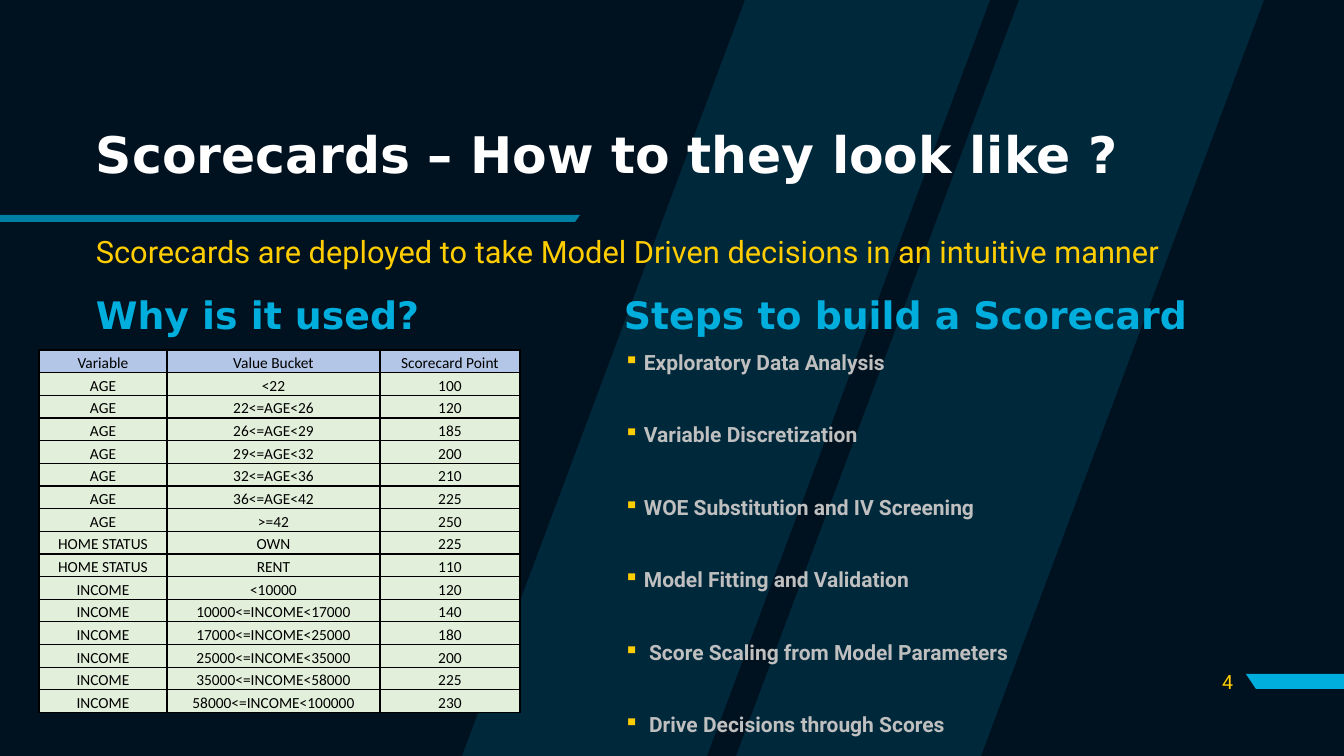
"""Build the slide that shows a scorecard table and the steps to build one."""
from lxml import etree
from pptx import Presentation
from pptx.dml.color import RGBColor
from pptx.enum.text import MSO_ANCHOR, PP_ALIGN
from pptx.oxml.ns import qn
from pptx.util import Pt

LEFT, CENTER, RIGHT = PP_ALIGN.LEFT, PP_ALIGN.CENTER, PP_ALIGN.RIGHT
TOP, MIDDLE, BOTTOM = MSO_ANCHOR.TOP, MSO_ANCHOR.MIDDLE, MSO_ANCHOR.BOTTOM

SCALE = 914400 / 100.8
SLIDE_WIDTH, SLIDE_HEIGHT = 1344, 756
NAVY, CYAN, YELLOW = "00111F", "00AEDE", "FFCD00"
WHITE, BLACK, GREY = "FFFFFF", "000000", "BFBFBF"
HEADER_FILL, BODY_FILL = "B4C6E7", "E2EFDA"
HEADING_FONT, BODY_FONT, TABLE_FONT = "DejaVu Sans", "Roboto", "Calibri"

DECORATIONS = [
    ([(1019, 0), (736, 756), (981, 756), (1264, 0)], 15),
    ([(745, 0), (462, 756), (707, 756), (990, 0)], 15),
    ([(1344, 674), (1344, 689), (1256, 689), (1246, 674)], 100),
    ([(0, 215), (0, 222), (575, 222), (580, 215)], 70),
]

HEADING = dict(size=27, font=HEADING_FONT, color=CYAN, bold=True)
TEXTS = [
    ("Scorecards – How to they look like ?", (86, 114, 1098, 86),
     dict(size=36, font=HEADING_FONT, color=WHITE, bold=True, anchor=MIDDLE)),
    ("Scorecards are deployed to take Model Driven decisions in an intuitive manner",
     (86, 232, 1127, 86), dict(size=22, color=YELLOW)),
    ("Why is it used?", (86, 292, 481, 50), HEADING),
    ("Steps to build a Scorecard", (614, 292, 593, 50), HEADING),
    ("4", (1182, 661, 61, 41),
     dict(size=14, color=YELLOW, align=RIGHT, anchor=MIDDLE, line_spacing=1)),
]

STEPS = [
    "Exploratory Data Analysis",
    "Variable Discretization",
    "WOE Substitution and IV Screening",
    "Model Fitting and Validation",
    " Score Scaling from Model Parameters",
    " Drive Decisions through Scores",
]
STEPS_BOX = (614, 342, 481, 257)
STEP_INDENT = 20
STEP_GAP = 32

SCORECARD_HEADER = ("Variable", "Value Bucket", "Scorecard Point")
SCORECARD = {
    "AGE": [("<22", 100), ("22<=AGE<26", 120), ("26<=AGE<29", 185), ("29<=AGE<32", 200),
            ("32<=AGE<36", 210), ("36<=AGE<42", 225), (">=42", 250)],
    "HOME STATUS": [("OWN", 225), ("RENT", 110)],
    "INCOME": [("<10000", 120), ("10000<=INCOME<17000", 140), ("17000<=INCOME<25000", 180),
               ("25000<=INCOME<35000", 200), ("35000<=INCOME<58000", 225),
               ("58000<=INCOME<100000", 230)],
}
TABLE_LEFT, TABLE_TOP, TABLE_HEIGHT = 39, 350, 363
COLUMN_WIDTHS = (128, 213, 140)


def px(length):
    return round(length * SCALE)


def rgb(color):
    return RGBColor.from_string(color)


def write_text(frame, text, size, color, font=BODY_FONT, bold=False, align=LEFT,
               anchor=TOP, line_spacing=0.9, space_before=0, bullet=None):
    frame.word_wrap = True
    frame.vertical_anchor = anchor
    for index, line in enumerate(text.split("\n")):
        paragraph = frame.paragraphs[0] if index == 0 else frame.add_paragraph()
        paragraph.alignment = align
        paragraph.line_spacing = line_spacing
        paragraph.space_before = Pt(space_before if index else 0)
        run = paragraph.add_run()
        run.text = line
        run.font.size = Pt(size)
        run.font.name = font
        run.font.bold = bold
        run.font.color.rgb = rgb(color)
        if bullet:
            add_bullet(paragraph, *bullet)


def add_bullet(paragraph, character, color):
    properties = paragraph._p.get_or_add_pPr()
    properties.set("marL", str(px(STEP_INDENT)))
    properties.set("indent", str(-px(STEP_INDENT)))
    bullet_color = etree.SubElement(properties, qn("a:buClr"))
    etree.SubElement(bullet_color, qn("a:srgbClr"), val=color)
    etree.SubElement(properties, qn("a:buChar"), char=character)


def add_text_box(slide, text, box, **text_format):
    shape = slide.shapes.add_textbox(*map(px, box))
    write_text(shape.text_frame, text, **text_format)


def add_decoration(slide, points, opacity):
    builder = slide.shapes.build_freeform(*points[0], scale=SCALE)
    builder.add_line_segments(points[1:], close=True)
    shape = builder.convert_to_shape()
    shape.shadow.inherit = False
    shape.line.fill.background()
    shape.fill.solid()
    shape.fill.fore_color.rgb = rgb(CYAN)
    if opacity < 100:
        fill_color = shape._element.spPr.find(qn("a:solidFill")).find(qn("a:srgbClr"))
        etree.SubElement(fill_color, qn("a:alpha"), val=str(opacity * 1000))


def add_borders(cell):
    properties = cell._tc.get_or_add_tcPr()
    for side in ("a:lnL", "a:lnR", "a:lnT", "a:lnB"):
        line = etree.SubElement(properties, qn(side), w=str(Pt(1)))
        fill = etree.SubElement(line, qn("a:solidFill"))
        etree.SubElement(fill, qn("a:srgbClr"), val=BLACK)


def add_scorecard(slide):
    rows = [SCORECARD_HEADER] + [(variable, bucket, str(points))
                                 for variable, buckets in SCORECARD.items()
                                 for bucket, points in buckets]
    box = (TABLE_LEFT, TABLE_TOP, sum(COLUMN_WIDTHS), TABLE_HEIGHT)
    table = slide.shapes.add_table(len(rows), len(COLUMN_WIDTHS), *map(px, box)).table
    table.first_row = table.horz_banding = False
    for column, width in zip(table.columns, COLUMN_WIDTHS):
        column.width = px(width)
    for row_index, values in enumerate(rows):
        table.rows[row_index].height = px(TABLE_HEIGHT / len(rows))
        for column_index, value in enumerate(values):
            cell = table.cell(row_index, column_index)
            cell.margin_left = cell.margin_right = cell.margin_top = px(1)
            cell.margin_bottom = 0
            add_borders(cell)
            cell.fill.solid()
            cell.fill.fore_color.rgb = rgb(BODY_FILL if row_index else HEADER_FILL)
            write_text(cell.text_frame, value, size=11, color=BLACK, font=TABLE_FONT,
                       align=CENTER, line_spacing=1)
            cell.vertical_anchor = BOTTOM


def main():
    presentation = Presentation()
    presentation.slide_width = px(SLIDE_WIDTH)
    presentation.slide_height = px(SLIDE_HEIGHT)
    slide = presentation.slides.add_slide(presentation.slide_layouts[6])
    slide.background.fill.solid()
    slide.background.fill.fore_color.rgb = rgb(NAVY)
    for points, opacity in DECORATIONS:
        add_decoration(slide, points, opacity)
    for text, box, text_format in TEXTS:
        add_text_box(slide, text, box, **text_format)
    add_scorecard(slide)
    add_text_box(slide, "\n".join(STEPS), STEPS_BOX, size=15, color=GREY, bold=True,
                 line_spacing=1.1, space_before=STEP_GAP, bullet=("▪", YELLOW))
    presentation.save("out.pptx")


if __name__ == "__main__":
    main()
